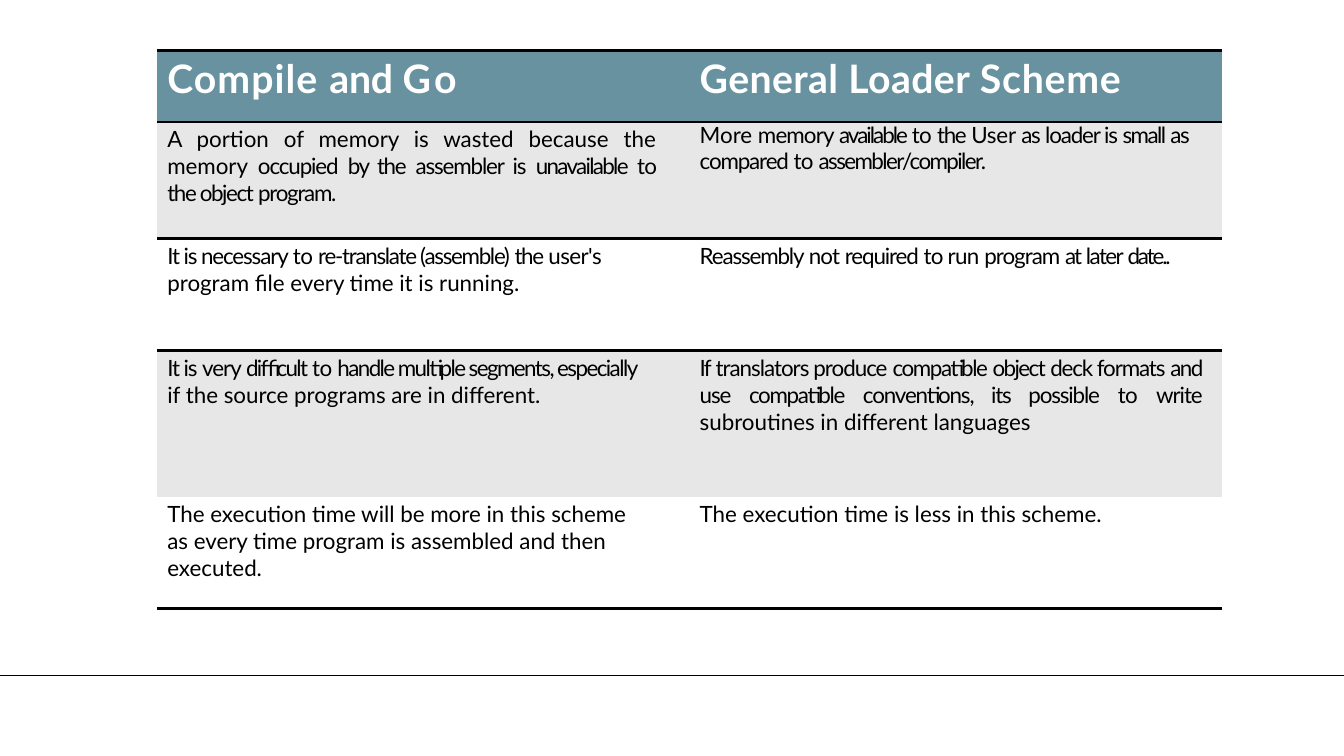
"""Build a slide comparing the compile-and-go and general loader schemes."""
from lxml import etree
from pptx import Presentation
from pptx.dml.color import RGBColor
from pptx.enum.shapes import MSO_CONNECTOR
from pptx.enum.text import PP_ALIGN
from pptx.oxml.ns import qn
from pptx.util import Inches, Pt

STRAIGHT = MSO_CONNECTOR.STRAIGHT
LEFT, JUSTIFY = PP_ALIGN.LEFT, PP_ALIGN.JUSTIFY
BLACK = RGBColor(0x00, 0x00, 0x00)
WHITE = RGBColor(0xFF, 0xFF, 0xFF)
TEAL = RGBColor(0x68, 0x92, 0x9F)
GREY = RGBColor(0xE7, 0xE7, 0xE7)
PLAIN_STYLE = "{2D5ABB26-0587-4C30-8999-92F81FD0307C}"
COLUMNS = [1.56, 5.28, 5.28, 1.21]
ROWS = [0.71, 1.16, 1.11, 1.45, 1.11, 0.8]
FILLS = [TEAL, GREY, WHITE, GREY, WHITE]
RULES = {0: ["a:lnT", "a:lnB"], 1: ["a:lnT", "a:lnB"], 2: ["a:lnT"], 4: ["a:lnB"], 5: ["a:lnT"]}


def write_paragraph(para, spans, size=16, bold=False, color=BLACK, align=LEFT,
                    before=0, line=None, right=0):
    """Fill a paragraph with (text, letter spacing) spans."""
    properties = para._p.get_or_add_pPr()
    properties.set("marL", str(Inches(0.1)))
    properties.set("marR", str(Inches(right)))
    properties.set("indent", "0")
    para.alignment = align
    para.space_before = Pt(before)
    if line:
        para.line_spacing = Pt(line)
    for text, spacing in spans:
        span = para.add_run()
        span.text = text
        span.font.name = "Lato"
        span.font.size = Pt(size)
        span.font.bold = bold
        span.font.color.rgb = color
        span._r.get_or_add_rPr().set("spc", str(round(spacing * 100)))


HEADER = {"size": 28, "bold": True, "color": WHITE, "before": 2.5}
BODY = {"before": 3}
CONTENT = [
    [
        [([("Compile ", 0.8), ("and ", -0.1), ("Go", 2.4)], HEADER)],
        [([("General Loader ", 0.3), ("Scheme", 0.6)], HEADER)],
    ],
    [
        [([("A portion of memory is wasted because the memory ", 0),
           ("occupied ", -0.8), ("by the ", -1), ("assembler is ", -0.8),
           ("unavailable ", -1.2), ("to ", -0.5), ("the object ", -1),
           ("program.", -0.9)], {"before": 3, "align": JUSTIFY, "right": 0.33})],
        [([("More ", 0), ("memory ", -0.6), ("available ", -1.4), ("to ", -0.4),
           ("the ", -0.9), ("User ", -0.1), ("as ", -1), ("loader is ", -0.8),
           ("small ", -1.1), ("as", -0.9)], {"before": 1.1, "line": 18.2}),
         ([("compared ", -0.8), ("to ", -0.5), ("assembler/compiler.", -1.1)],
          {"line": 18.2})],
    ],
    [
        [([("It is necessary ", -0.8), ("to ", -0.4), ("re-translate (assemble) ", -0.9),
           ("the ", -1), ("user's ", -0.4), ("program file every time it is running.", 0)],
          {"before": 3, "right": 0.4})],
        [([("Reassembly ", -0.8), ("not ", -0.6), ("required ", -0.8), ("to run ", -0.5),
           ("program ", -0.7), ("at ", -1.4), ("later ", -1.1), ("date..", -1.5)], BODY)],
    ],
    [
        [([("It is ", -0.8), ("very ", -0.7), ("difficult ", -1.2), ("to ", -0.4),
           ("handle multiple segments, especially", -1.1)], BODY),
         ([("if the source programs are in different.", 0)], {})],
        [([("If ", -1.2), ("translators produce ", -0.7), ("compatible ", -1),
           ("object ", -1.1), ("deck formats ", -0.8), ("and ", -1.1), ("use ", -0.8),
           ("compatible ", -0.9), ("conventions, its possible ", -0.8), ("to ", -0.4),
           ("write ", -0.7), ("subroutines in different languages", 0)],
          {"before": 3, "align": JUSTIFY, "right": 0.2})],
    ],
    [
        [([("The execution time will be more in this scheme as every time program "
            "is assembled and then executed.", 0)], {"before": 3, "right": 0.5})],
        [([("The execution time is less in this scheme.", 0)], BODY)],
    ],
]

deck = Presentation()
deck.slide_width, deck.slide_height = Inches(13.33), Inches(7.5)
page = deck.slides.add_slide(deck.slide_layouts[6])

footer_line = page.shapes.add_connector(STRAIGHT, 0, Inches(6.7), deck.slide_width, Inches(6.7))
footer_line.line.color.rgb = BLACK
footer_line.line.width = Pt(0.96)
etree.SubElement(footer_line._element.spPr, qn("a:effectLst"))

frame = page.shapes.add_table(len(ROWS), len(COLUMNS), 0, Inches(0.5),
                              deck.slide_width, Inches(sum(ROWS)))
table = frame.table
table.first_row = table.horz_banding = False
table._tbl.tblPr.find(qn("a:tableStyleId")).text = PLAIN_STYLE
for column, width in zip(table.columns, COLUMNS):
    column.width = Inches(width)
for row, height in zip(table.rows, ROWS):
    row.height = Inches(height)

for row in range(len(ROWS)):
    for column in range(len(COLUMNS)):
        cell = table.cell(row, column)
        cell.margin_left = cell.margin_right = cell.margin_bottom = 0
        cell.margin_top = Inches(0.01 if (row, column) == (1, 2) else 0.04)
        if column not in (1, 2):
            cell.fill.background()
            continue
        properties = cell._tc.get_or_add_tcPr()
        for side in RULES.get(row, []):
            border = etree.SubElement(properties, qn(side), w=str(Pt(2.25)))
            paint = etree.SubElement(border, qn("a:solidFill"))
            etree.SubElement(paint, qn("a:srgbClr"), val=str(BLACK))
        if row == len(CONTENT):
            cell.fill.background()
            continue
        cell.fill.solid()
        cell.fill.fore_color.rgb = FILLS[row]
        for index, (spans, style) in enumerate(CONTENT[row][column - 1]):
            text = cell.text_frame
            para = text.add_paragraph() if index else text.paragraphs[0]
            write_paragraph(para, spans, **style)

deck.save("out.pptx")
